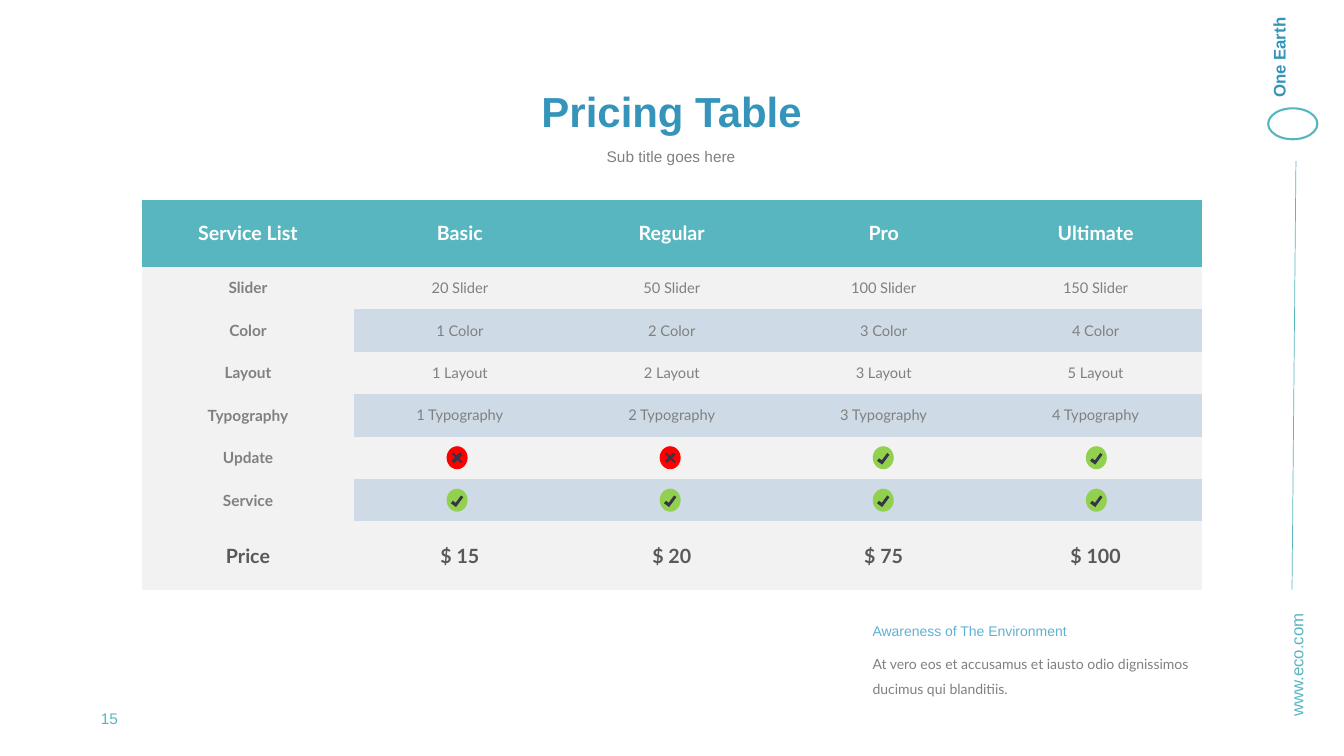
from lxml import etree
from pptx import Presentation
from pptx.dml.color import RGBColor
from pptx.enum.shapes import MSO_CONNECTOR, MSO_SHAPE
from pptx.enum.text import MSO_ANCHOR, PP_ALIGN
from pptx.oxml.ns import qn
from pptx.util import Cm, Pt

TEAL = RGBColor(0x58, 0xB6, 0xC0)
BLUE = RGBColor(0x34, 0x94, 0xBA)
SKY = RGBColor(0x60, 0xB2, 0xD2)
GRAY = RGBColor(0x80, 0x80, 0x80)
DARK_GRAY = RGBColor(0x59, 0x59, 0x59)
PALE_GRAY = RGBColor(0xF2, 0xF2, 0xF2)
PALE_BLUE = RGBColor(0xCE, 0xDB, 0xE6)
WHITE = RGBColor(0xFF, 0xFF, 0xFF)
GREEN = RGBColor(0x92, 0xD0, 0x50)
RED = RGBColor(0xFF, 0x00, 0x00)
INK = RGBColor(0x37, 0x35, 0x45)

LEFT, CENTER = PP_ALIGN.LEFT, PP_ALIGN.CENTER
TOP, MIDDLE = MSO_ANCHOR.TOP, MSO_ANCHOR.MIDDLE
ELLIPSE, CORNER, CROSS = MSO_SHAPE.OVAL, MSO_SHAPE.CORNER, MSO_SHAPE.CROSS
STRAIGHT = MSO_CONNECTOR.STRAIGHT
NO_GRID_STYLE = "{2D5ABB26-0587-4C30-8999-92F81FD0307C}"

YES, NO = "yes", "no"
PLANS = [
    ["Service List", "Basic", "Regular", "Pro", "Ultimate"],
    ["Slider", "20 Slider", "50 Slider", "100 Slider", "150 Slider"],
    ["Color", "1 Color", "2 Color", "3 Color", "4 Color"],
    ["Layout", "1 Layout", "2 Layout", "3 Layout", "5 Layout"],
    ["Typography", "1 Typography", "2 Typography", "3 Typography", "4 Typography"],
    ["Update", NO, NO, YES, YES],
    ["Service", YES, YES, YES, YES],
    ["Price", "$ 15", "$ 20", "$ 75", "$ 100"],
]
HEADER_HEIGHT, ROW_HEIGHT, PRICE_HEIGHT = 1.69, 1.07, 1.72
MARK_PITCH = 5.37


def style_text(frame, text, size, color, font="Arial", bold=False,
               align=LEFT, spacing=None):
    frame.text = text
    paragraph = frame.paragraphs[0]
    paragraph.alignment = align
    if spacing:
        paragraph.line_spacing = spacing
    for run in paragraph.runs:
        run.font.name = font
        run.font.size = Pt(size)
        run.font.bold = bold
        run.font.color.rgb = color


def add_text(slide, box, text, size, color, anchor=TOP, rotation=0, **style):
    label = slide.shapes.add_textbox(*map(Cm, box))
    label.rotation = rotation
    frame = label.text_frame
    frame.word_wrap = True
    frame.vertical_anchor = anchor
    style_text(frame, text, size, color, **style)
    return label


def add_centered_shape(slide, kind, x, y, width, height, color, rotation=0, adjust=()):
    shape = slide.shapes.add_shape(
        kind, Cm(x - width / 2), Cm(y - height / 2), Cm(width), Cm(height))
    shape.shadow.inherit = False
    shape.fill.solid()
    shape.fill.fore_color.rgb = color
    shape.line.fill.background()
    shape.rotation = rotation
    for index, value in enumerate(adjust):
        shape.adjustments[index] = value
    return shape


def add_sidebar(slide, left, top):
    # Name and emblem at the top
    name = add_text(slide, (left - 0.73, top + 0.81, 2.54, 1.27), "One Earth", 12, BLUE,
                    rotation=270, bold=True)
    name.text_frame.margin_right = 0
    emblem = add_centered_shape(slide, ELLIPSE, left + 0.63, top + 3.12, 1.24, 0.78, WHITE)
    emblem.line.color.rgb = TEAL
    emblem.line.width = Pt(1.5)

    # Divider
    divider = slide.shapes.add_connector(
        STRAIGHT, Cm(left + 0.71), Cm(top + 4.06), Cm(left + 0.61), Cm(top + 14.86))
    divider.line.color.rgb = TEAL
    divider.line.width = Pt(0.5)
    etree.SubElement(divider._element.spPr, qn("a:effectLst"))

    # Web address
    add_text(slide, (left - 1.65, top + 15.67, 4.5, 0.79), "www.eco.com", 12, TEAL,
             anchor=MIDDLE, rotation=270, spacing=1.5)


def add_heading(slide, left, top, width):
    add_text(slide, (left, top, width, 3.68), "Pricing Table", 30, BLUE,
             anchor=MIDDLE, bold=True, align=CENTER, spacing=0.9)
    add_text(slide, (left + width / 2 - 3.75, top + 2.33, 7.47, 0.89),
             "Sub title goes here", 11, GRAY, align=CENTER, spacing=1.5)


def add_mark(slide, kind, x, y):
    add_centered_shape(slide, ELLIPSE, x, y, 0.53, 0.58, GREEN if kind == YES else RED)
    if kind == YES:
        add_centered_shape(slide, CORNER, x, y, 0.31, 0.16, INK, 306.1, (0.442, 0.512))
    else:
        add_centered_shape(slide, CROSS, x, y, 0.33, 0.3, INK, 45, (0.411,))


def add_pricing(slide, left, top, width):
    last = len(PLANS) - 1
    heights = [HEADER_HEIGHT] + [ROW_HEIGHT] * (last - 1) + [PRICE_HEIGHT]
    column_width = width / len(PLANS[0])
    table = slide.shapes.add_table(len(PLANS), len(PLANS[0]), Cm(left), Cm(top),
                                   Cm(width), Cm(sum(heights))).table
    table._tbl.tblPr.find(qn("a:tableStyleId")).text = NO_GRID_STYLE
    table.first_row = table.horz_banding = False
    for column in table.columns:
        column.width = Cm(column_width)

    row_top = top
    for r, (plan_row, height) in enumerate(zip(PLANS, heights)):
        table.rows[r].height = Cm(height)
        for c, value in enumerate(plan_row):
            cell = table.cell(r, c)
            cell.vertical_anchor = MIDDLE
            cell.fill.solid()
            banded = c > 0 and r % 2 == 0
            fill = TEAL if r == 0 else PALE_BLUE if banded else PALE_GRAY
            cell.fill.fore_color.rgb = fill
            if value in (YES, NO):
                mark_x = left + column_width * 1.5 - 0.07 + MARK_PITCH * (c - 1)
                add_mark(slide, value, mark_x, row_top + height / 2)
                continue
            if r in (0, last):
                size, color = 14, WHITE if r == 0 else DARK_GRAY
            else:
                size, color = 10.5 if c else 11, GRAY
            style_text(cell.text_frame, value, size, color, font="Lato",
                       bold=c == 0 or r in (0, last), align=CENTER)
        row_top += height


def add_note(slide, left, top, width):
    add_text(slide, (left, top + 0.61, width, 1.45),
             "At vero eos et accusamus et iausto odio dignissimos ducimus qui blanditiis.",
             10, GRAY, font="Lato", spacing=1.5)
    add_text(slide, (left, top, width, 0.69), "Awareness of The Environment", 10, SKY)


def main():
    deck = Presentation()
    deck.slide_width, deck.slide_height = Cm(33.87), Cm(19.05)
    slide = deck.slides.add_slide(deck.slide_layouts[6])
    add_sidebar(slide, 31.95, 0)
    add_heading(slide, 2.44, 1.02, 28.98)
    add_pricing(slide, 3.58, 5.03, 26.7)
    add_note(slide, 21.74, 15.57, 8.53)
    # Page number
    add_text(slide, (2.29, 17.58, 5.44, 1.02), "15", 11, TEAL, anchor=MIDDLE)
    deck.save("out.pptx")


if __name__ == "__main__":
    main()
